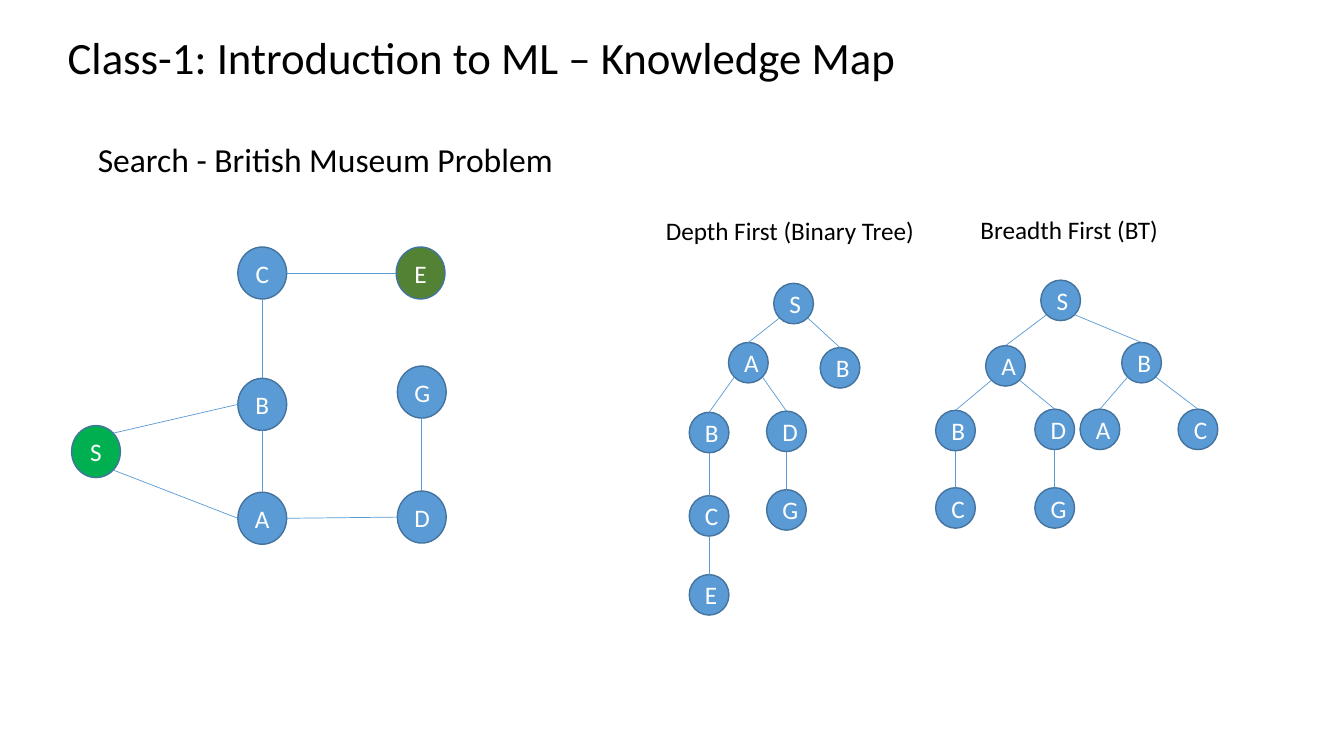
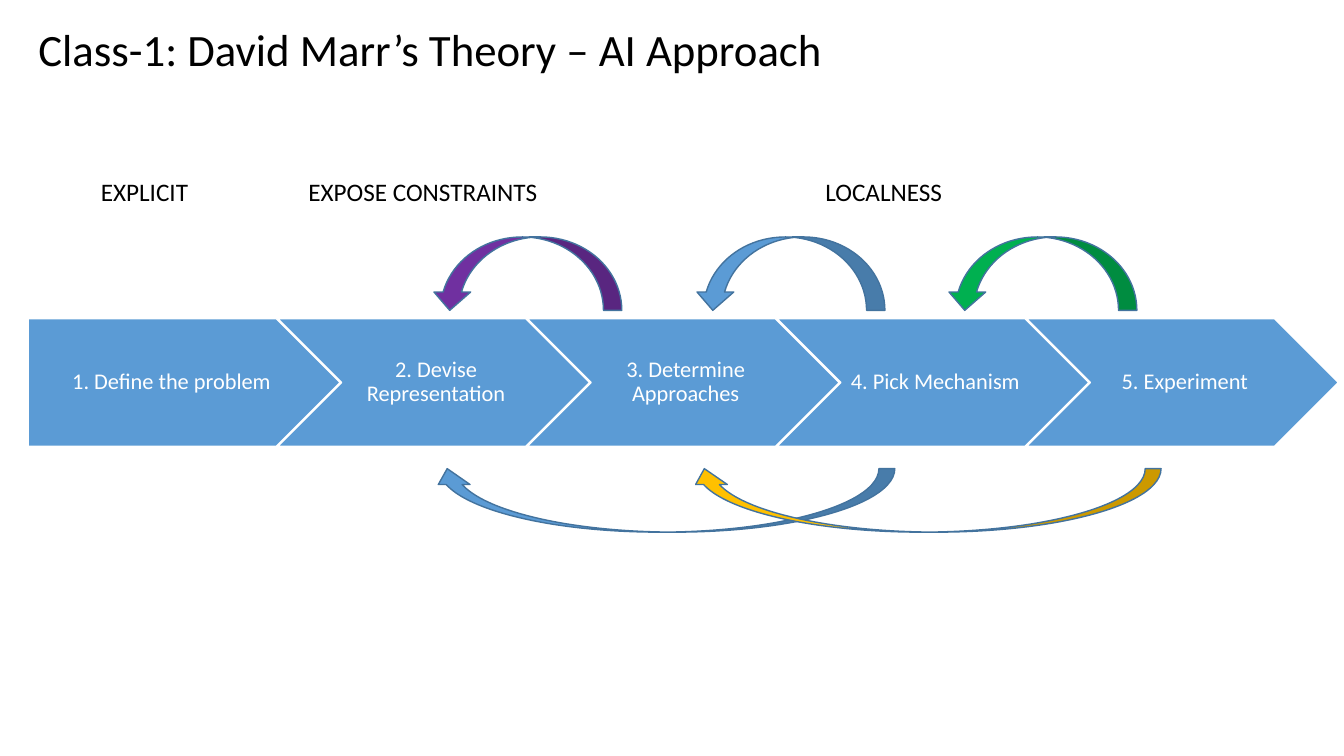
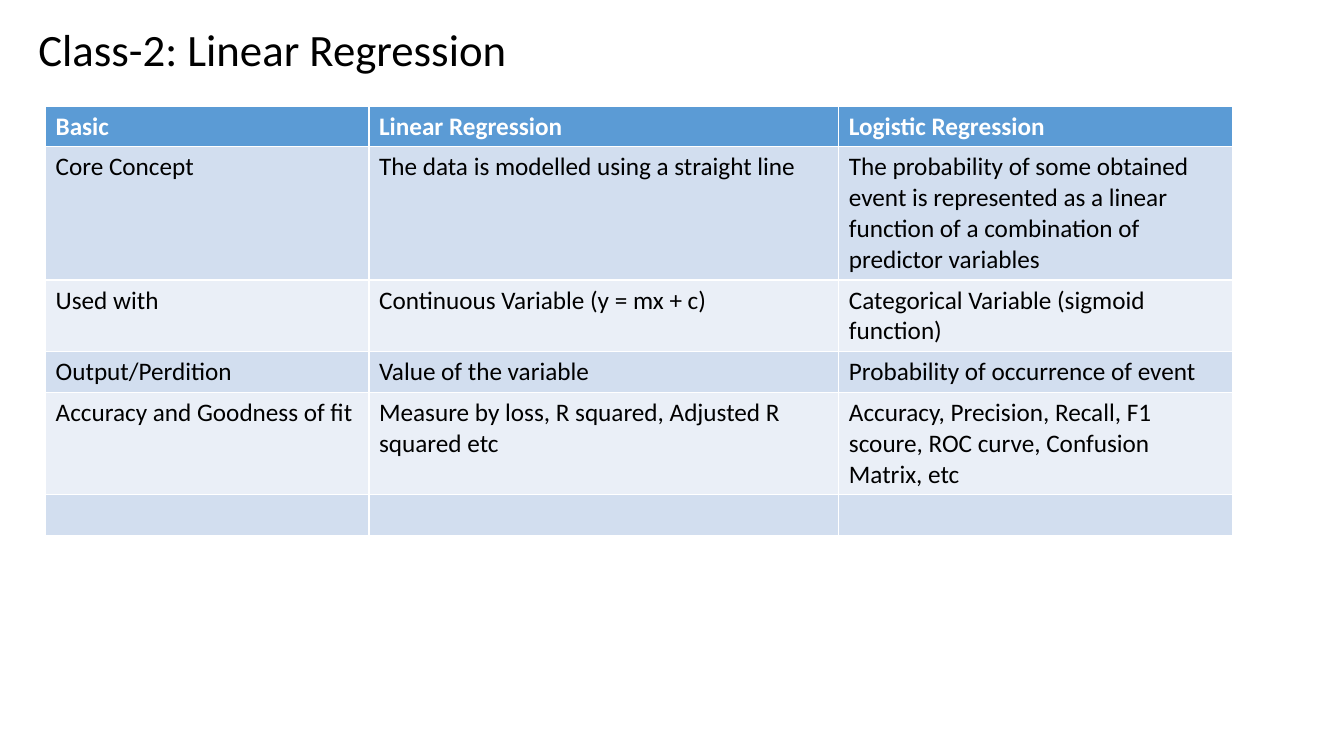
from lxml.etree import SubElement
from pptx import Presentation
from pptx.dml.color import RGBColor
from pptx.enum.shapes import MSO_CONNECTOR as Link, MSO_SHAPE as Kind
from pptx.enum.text import MSO_ANCHOR as Anchor, MSO_AUTO_SIZE as Fit, PP_ALIGN as Align
from pptx.oxml.ns import qn
from pptx.util import Cm, Pt

# Shared look
FONT = "Calibri"
BLACK, WHITE = "000000", "FFFFFF"
BLUE, EDGE = "5B9BD5", "43739E"
GREEN, OLIVE, PURPLE, GOLD = "00B050", "548235", "7030A0", "FFC000"
BANDS = "D2DEEF", "EAEFF7"

# Points on an ellipse, as shares of its half width and half height
DIAG = 0.71
SITES = {"n": (0, -1), "s": (0, 1), "w": (-1, 0), "e": (1, 0),
         "ne": (DIAG, -DIAG), "se": (DIAG, DIAG), "sw": (-DIAG, DIAG)}

# Slide 1: key -> centre in cm; the first letter of a key is its label
GRAPH = {"S": (2.42, 11.38), "A": (6.61, 13.06), "B": (6.61, 10.19), "C": (6.61, 6.88),
         "D": (10.63, 13.03), "E": (10.6, 6.88), "G": (10.63, 9.88)}
EDGES = [("S", "se", "A", "w"), ("S", "ne", "B", "w"), ("A", "n", "B", "s"),
         ("B", "n", "C", "s"), ("C", "e", "E", "w"), ("A", "e", "D", "w"),
         ("D", "n", "G", "s")]
DEPTH = {"S": (20, 7.65), "A": (18.86, 9.14), "B2": (21.17, 9.27), "B": (17.87, 10.9),
         "D": (19.82, 10.87), "C": (17.87, 13), "G": (19.82, 12.85), "E": (17.87, 14.99)}
DEPTH_KIDS = {"S": ["A", "B2"], "A": ["B", "D"], "B": ["C"], "C": ["E"], "D": ["G"]}
BREADTH = {"S": (26.73, 7.57), "A": (25.34, 9.22), "B": (28.77, 9.14),
           "B2": (24.08, 10.85), "D": (26.58, 10.82), "A2": (27.72, 10.82),
           "C2": (30.19, 10.82), "C": (24.08, 12.8), "G": (26.58, 12.8)}
BREADTH_KIDS = {"S": ["A", "B"], "A": ["B2", "D"], "B": ["A2", "C2"],
                "B2": ["C"], "D": ["G"]}

# Slide 2
STEPS = ["1. Define the problem", "2. Devise Representation", "3. Determine Approaches",
         "4. Pick Mechanism", "5. Experiment"]

# Slide 3
ROWS = [
    ("Basic", "Linear Regression", "Logistic Regression"),
    ("Core Concept", "The data is modelled using a straight line",
     "The probability of some obtained event is represented as a linear function "
     "of a combination of predictor variables"),
    ("Used with", "Continuous Variable (y = mx + c)",
     "Categorical Variable (sigmoid function)"),
    ("Output/Perdition", "Value of the variable", "Probability of occurrence of event"),
    ("Accuracy and Goodness of fit", "Measure by loss, R squared, Adjusted R squared etc",
     "Accuracy, Precision, Recall, F1 scoure, ROC curve, Confusion Matrix, etc"),
    ("", "", ""),
]


def rgb(code):
    return RGBColor.from_string(code)


def paint(shape, fill, edge):
    shape.shadow.inherit = False
    shape.fill.solid()
    shape.fill.fore_color.rgb = rgb(fill)
    shape.line.color.rgb = rgb(edge)
    shape.line.width = Pt(1)


def write(frame, text, size, color=BLACK, align=Align.LEFT, bold=False):
    frame.text = text
    par = frame.paragraphs[0]
    par.alignment = align
    font = par.font
    font.name, font.size, font.bold = FONT, Pt(size), bold
    font.color.rgb = rgb(color)
    return par


def place(shape, left, top, width, height):
    shape.left, shape.top = Cm(left), Cm(top)
    shape.width, shape.height = Cm(width), Cm(height)


def fill_in(holder, text, size, *box):
    """Move a placeholder and set its text from the top left."""
    place(holder, *box)
    frame = holder.text_frame
    frame.word_wrap, frame.auto_size = True, Fit.NONE
    frame.vertical_anchor = Anchor.TOP
    return write(frame, text, size)


def new_slide(deck, title, layout=5, left=0.71, top=0.41):
    slide = deck.slides.add_slide(deck.slide_layouts[layout])
    fill_in(slide.shapes.title, title, 32, left, top, 30.2, 1.63)
    return slide


def label(slide, text, left, top, width):
    box = slide.shapes.add_textbox(Cm(left), Cm(top), Cm(width), Cm(1.02))
    box.text_frame.word_wrap = True
    write(box.text_frame, text, 18)


# Graphs and trees
def node(slide, key, spot, width, height, fill=BLUE):
    x, y = spot
    oval = slide.shapes.add_shape(Kind.OVAL, Cm(x - width / 2), Cm(y - height / 2),
                                  Cm(width), Cm(height))
    paint(oval, fill, EDGE)
    oval.text_frame.vertical_anchor = Anchor.MIDDLE
    write(oval.text_frame, key[0], 18, WHITE, Align.CENTER)
    return oval


def site(oval, name):
    dx, dy = SITES[name]
    return (int(oval.left + oval.width * (1 + dx) / 2),
            int(oval.top + oval.height * (1 + dy) / 2))


def link(slide, tail, out, head, into):
    line = slide.shapes.add_connector(Link.STRAIGHT, *site(tail, out), *site(head, into))
    line.line.color.rgb = rgb(BLUE)
    line.line.width = Pt(0.5)
    SubElement(line._element.spPr, qn("a:effectLst"))


def graph(slide):
    tints = {"S": GREEN, "E": OLIVE}
    ovals = {key: node(slide, key, spot, 1.23, 1.31, tints.get(key, BLUE))
             for key, spot in GRAPH.items()}
    for tail, out, head, into in EDGES:
        link(slide, ovals[tail], out, ovals[head], into)


def tree(slide, spots, kids):
    ovals = {key: node(slide, key, spot, 1, 1.02) for key, spot in spots.items()}
    for top, below in kids.items():
        for kid in below:
            gap = spots[kid][0] - spots[top][0]
            out = "s" if gap == 0 else "sw" if gap < 0 else "se"
            link(slide, ovals[top], out, ovals[kid], "n")


# Process chain
def step(slide, num, text):
    kind = Kind.CHEVRON if num else Kind.PENTAGON
    shape = slide.shapes.add_shape(kind, Cm(0.71 + 6.29 * num), Cm(8.03), Cm(7.86), Cm(3.22))
    paint(shape, BLUE, WHITE)
    frame = shape.text_frame
    frame.vertical_anchor = Anchor.MIDDLE
    frame.margin_left, frame.margin_right = Cm(0.18 if num else 0.23), Cm(0.06)
    write(frame, text, 16, WHITE, Align.CENTER).line_spacing = 0.9


def arc(slide, left, top, width, height, fill, below=False):
    """Draw a curved arrow that leads back to an earlier step."""
    shape = slide.shapes.add_shape(Kind.CURVED_UP_ARROW, Cm(left), Cm(top),
                                   Cm(width), Cm(height))
    paint(shape, fill, EDGE)
    shape.rotation = 180
    if below:
        shape._element.spPr.find(qn("a:xfrm")).set("flipV", "1")


# Table
def grid(slide, rows, widths, left, top, height):
    table = slide.shapes.add_table(len(rows), len(widths), Cm(left), Cm(top),
                                   Cm(sum(widths)), Cm(height * len(rows))).table
    for col, width in zip(table.columns, widths):
        col.width = Cm(width)
    for r, row in enumerate(rows):
        for c, text in enumerate(row):
            cell = table.cell(r, c)
            cell.fill.solid()
            cell.fill.fore_color.rgb = rgb(BANDS[(r - 1) % 2] if r else BLUE)
            write(cell.text_frame, text, 18, BLACK if r else WHITE, bold=r == 0)


# Slides
def search(deck):
    slide = new_slide(deck, "Class-1: Introduction to ML – Knowledge Map", 0, 1.45, 0.61)
    par = fill_in(slide.placeholders[1], "Search - British Museum Problem", 24,
                  2.21, 3.48, 12.04, 1.32)
    par.line_spacing, par.space_before = 0.9, Pt(10)
    graph(slide)
    tree(slide, DEPTH, DEPTH_KIDS)
    tree(slide, BREADTH, BREADTH_KIDS)
    label(slide, "Depth First (Binary Tree)", 16.53, 5.31, 7.2)
    label(slide, "Breadth First (BT)", 24.46, 5.28, 5.4)


def theory(deck):
    slide = new_slide(deck, "Class-1: David Marr’s Theory – AI Approach")
    for num, text in enumerate(STEPS):
        step(slide, num, text)
    for left, fill in (10.87, PURPLE), (17.5, BLUE), (23.85, GREEN):
        arc(slide, left, 5.97, 4.8, 1.85, fill)
    for left, width, fill in (10.87, 11.68, BLUE), (17.35, 11.91, GOLD):
        arc(slide, left, 11.81, width, 1.6, fill, below=True)
    for text, left, width in (("EXPLICIT", 2.29, 3.07), ("EXPOSE CONSTRAINTS", 7.52, 7.87),
                              ("LOCALNESS", 20.55, 5.72)):
        label(slide, text, left, 4.32, width)


def regress(deck):
    slide = new_slide(deck, "Class-2: Linear Regression")
    grid(slide, ROWS, [8.15, 11.84, 9.91], 1.15, 2.67, 1.03)


def main():
    deck = Presentation()
    deck.slide_width, deck.slide_height = Cm(33.87), Cm(19.05)
    search(deck)
    theory(deck)
    regress(deck)
    deck.save("out.pptx")


if __name__ == "__main__":
    main()
